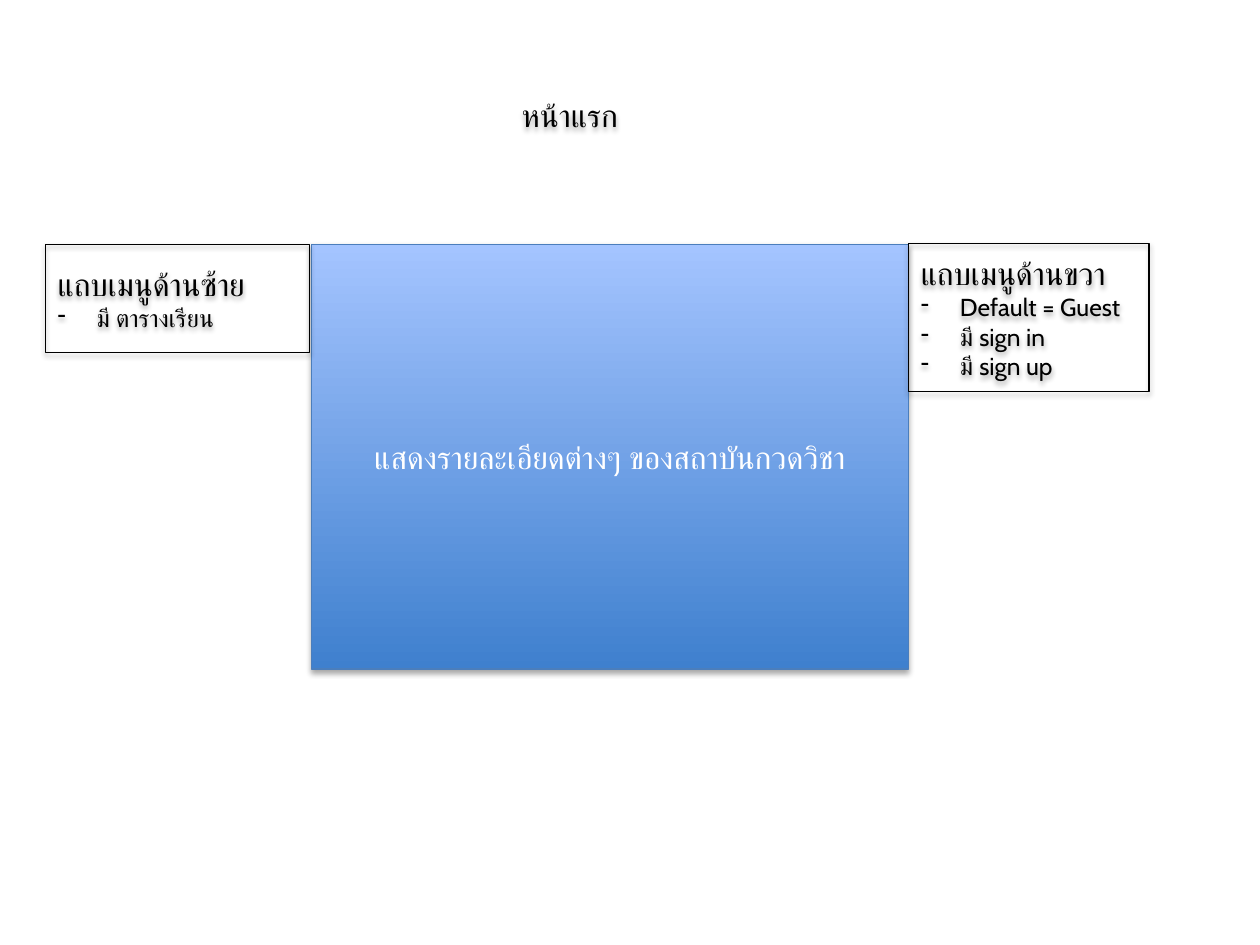
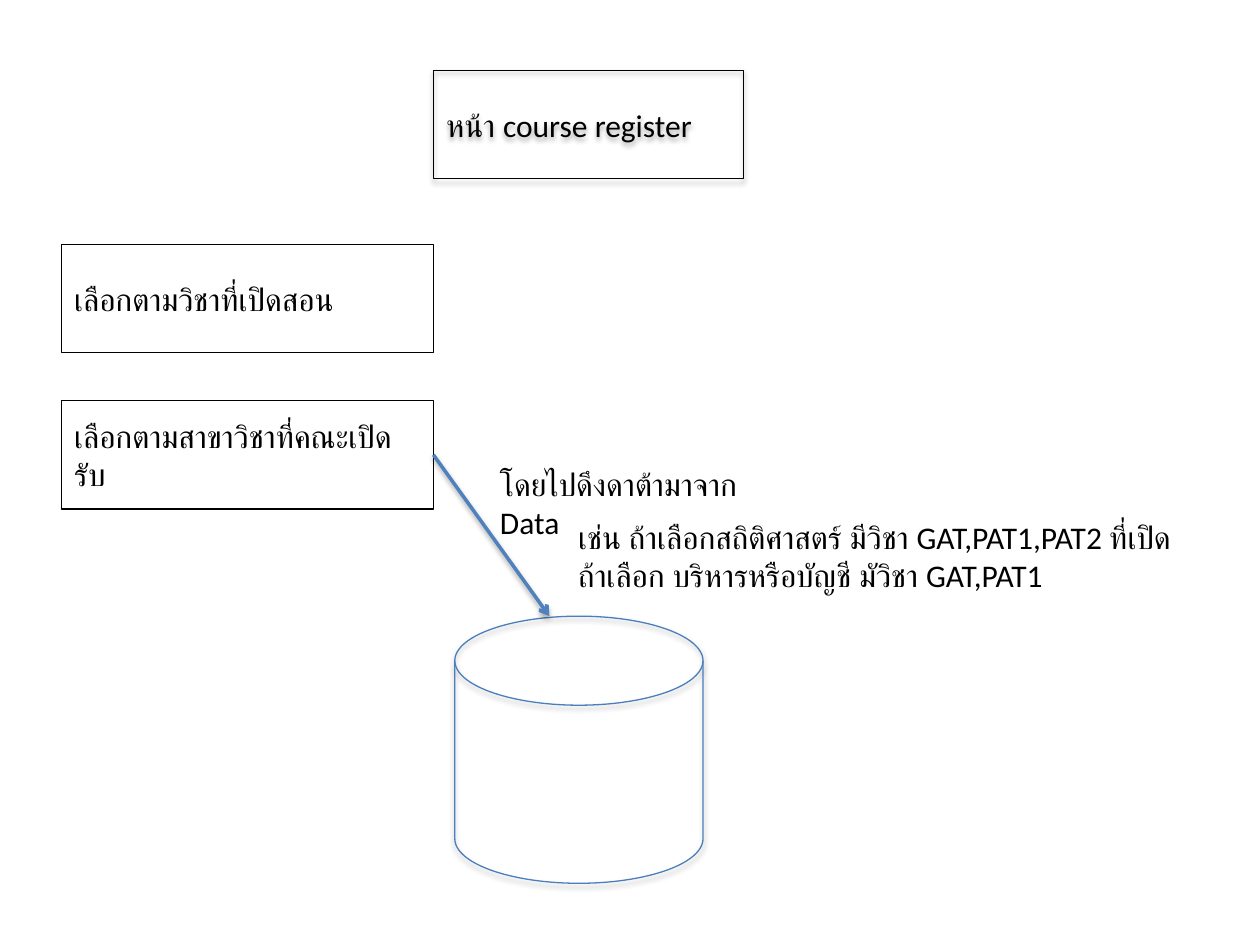
"""Build two slides that sketch a tutoring school's home and course register pages."""
from dataclasses import dataclass

from lxml import etree
from pptx import Presentation
from pptx import util as u
from pptx.dml.color import RGBColor
from pptx.enum import shapes, text
from pptx.oxml.ns import qn

WIDTH, HEIGHT = u.Inches(10), u.Inches(7.5)
COLUMNS, ROWS = 100, 75
TITLE_ONLY = 5
BODY_SIZE, ITEM_SIZE = 18, 14
COLOURS = {"ink": "000000", "paper": "FFFFFF", "edge": "4B7EBC", "arrow": "4F81BD",
           "panel_low": "3F80CE", "panel_high": "A4C4FF"}


@dataclass(frozen=True)
class Area:
    """A rectangle in grid columns and rows."""
    column: float
    row: float
    wide: float
    high: float = 8.6

    def emu(self) -> tuple[int, int, int, int]:
        """Return left, top, width and height in slide units."""
        return (across(self.column), down(self.row), across(self.wide), down(self.high))


@dataclass(frozen=True)
class Panel:
    """A bordered shape with optional text and dashed items."""
    area: Area
    heading: str = ""
    items: tuple[str, ...] = ()
    font: str = "Calibri"
    ink: str = "ink"
    edge: str = "ink"
    centred: bool = False
    shadow: bool = True
    kind: shapes.MSO_SHAPE = shapes.MSO_SHAPE.RECTANGLE


def across(columns: float) -> int:
    """Turn grid columns into slide units."""
    return round(WIDTH * columns / COLUMNS)


def down(rows: float) -> int:
    """Turn grid rows into slide units."""
    return round(HEIGHT * rows / ROWS)


def colour(name: str) -> RGBColor:
    """Look up a named colour."""
    return RGBColor.from_string(COLOURS[name])


def cast_shadow(shape) -> None:
    """Give a shape or connector a soft shadow below it."""
    properties = shape._element.spPr
    effects = properties.find(qn("a:effectLst"))
    if effects is None:
        effects = etree.SubElement(properties, qn("a:effectLst"))
    shadow = etree.SubElement(effects, qn("a:outerShdw"), blurRad=str(u.Pt(3.1)),
                              dist=str(u.Pt(1.8)), dir="5400000", rotWithShape="0")
    tint = etree.SubElement(shadow, qn("a:srgbClr"), val=COLOURS["ink"])
    etree.SubElement(tint, qn("a:alpha"), val="35000")


def add_dash(paragraph) -> None:
    """Hang a dash bullet on a paragraph."""
    properties = paragraph._p.get_or_add_pPr()
    indent = u.Inches(0.31)
    properties.set("marL", str(indent))
    properties.set("indent", str(-indent))
    etree.SubElement(properties, qn("a:buChar"), char="-")


def write(shape, lines: tuple[str, ...], items: tuple[str, ...] = (), font: str = "Calibri",
          ink: str = "ink", centred: bool = False) -> None:
    """Fill a shape with plain lines followed by dashed items."""
    frame = shape.text_frame
    frame.word_wrap = True
    frame.auto_size = text.MSO_AUTO_SIZE.NONE
    frame.vertical_anchor = text.MSO_ANCHOR.MIDDLE
    for index, line in enumerate(lines + items):
        paragraph = frame.add_paragraph() if index else frame.paragraphs[0]
        paragraph.text = line
        paragraph.alignment = text.PP_ALIGN.CENTER if centred else text.PP_ALIGN.LEFT
        is_item = index >= len(lines)
        if is_item:
            add_dash(paragraph)
        paragraph.font.size = u.Pt(ITEM_SIZE if is_item else BODY_SIZE)
        paragraph.font.name = font
        paragraph.font.color.rgb = colour(ink)


def outline(shape, edge: str) -> None:
    """Draw a thin border."""
    shape.line.color.rgb = colour(edge)
    shape.line.width = u.Pt(0.75)


def add_titled_slide(presentation, title: str, area: Area):
    """Add a title-only slide with its title placed and styled."""
    slide = presentation.slides.add_slide(presentation.slide_layouts[TITLE_ONLY])
    shape = slide.shapes.title
    shape.left, shape.top, shape.width, shape.height = area.emu()
    write(shape, (title,))
    shape.shadow.inherit = False
    cast_shadow(shape)
    return slide


def add_panel(slide, panel: Panel):
    """Draw a panel without fill and return its shape."""
    shape = slide.shapes.add_shape(panel.kind, *panel.area.emu())
    shape.shadow.inherit = False
    shape.fill.background()
    outline(shape, panel.edge)
    if panel.shadow:
        cast_shadow(shape)
    if panel.heading:
        write(shape, (panel.heading,), panel.items, panel.font, panel.ink, panel.centred)
    return shape


def add_note(slide, area: Area, *lines: str):
    """Add free text and return its box."""
    box = slide.shapes.add_textbox(*area.emu())
    write(box, lines)
    return box


def build_home(presentation) -> None:
    """Build the home page slide."""
    slide = add_titled_slide(presentation, "หน้าแรก", Area(40.4, 4.8, 16))
    details = add_panel(slide, Panel(
        Area(24.7, 19.4, 47.4, 33.7), "แสดงรายละเอียดต่างๆ ของสถาบันกวดวิชา",
        ink="paper", edge="edge", centred=True))
    details.fill.gradient()
    details.fill.gradient_angle = 90
    for stop, name in zip(details.fill.gradient_stops, ("panel_low", "panel_high")):
        stop.color.rgb = colour(name)
    menus = (
        Panel(Area(72.1, 19.3, 19.1, 11.8), "แถบเมนูด้านขวา",
              ("Default = Guest", "มี sign in", "มี sign up"), "Cabin"),
        Panel(Area(3.6, 19.4, 21), "แถบเมนูด้านซ้าย", ("มี ตารางเรียน",), "Cabin"),
    )
    for menu in menus:
        add_panel(slide, menu)


def build_register(presentation) -> None:
    """Build the course register slide."""
    slide = add_titled_slide(presentation, "หน้า course register", Area(34.4, 5.6, 24.6))
    outline(slide.shapes.title, "ink")
    choices = ("เลือกตามวิชาที่เปิดสอน", "เลือกตามสาขาวิชาที่คณะเปิดรับ")
    _, by_faculty = [
        add_panel(slide, Panel(Area(4.9, 19.4 + 12.4 * index, 29.5), choice, shadow=False))
        for index, choice in enumerate(choices)]
    add_panel(slide, Panel(Area(36.1, 48.9, 19.7, 21.2), edge="edge",
                           kind=shapes.MSO_SHAPE.FLOWCHART_MAGNETIC_DISK))

    arrow = slide.shapes.add_connector(
        shapes.MSO_CONNECTOR.STRAIGHT, across(34.4), down(36.1), across(43.6), down(48.9))
    arrow.begin_connect(by_faculty, 3)
    arrow.line.color.rgb = colour("arrow")
    arrow.line.width = u.Pt(2)
    etree.SubElement(arrow.line._get_or_add_ln(), qn("a:tailEnd"), type="arrow")
    cast_shadow(arrow)

    add_note(slide, Area(38.7, 35.6, 24.6), "โดยไปดึงดาต้ามาจาก Data")
    example = add_note(slide, Area(44.9, 40.6, 55.1, 10.1),
                       "เช่น ถ้าเลือกสถิติศาสตร์ มีวิชา GAT,PAT1,PAT2 ที่เปิด",
                       "ถ้าเลือก บริหารหรือบัญชี มัวิชา GAT,PAT1")
    example.text_frame.word_wrap = False
    example.text_frame.vertical_anchor = text.MSO_ANCHOR.TOP


def main() -> None:
    """Build and save the presentation."""
    presentation = Presentation()
    presentation.slide_width, presentation.slide_height = WIDTH, HEIGHT
    build_home(presentation)
    build_register(presentation)
    presentation.save("out.pptx")


if __name__ == "__main__":
    main()
